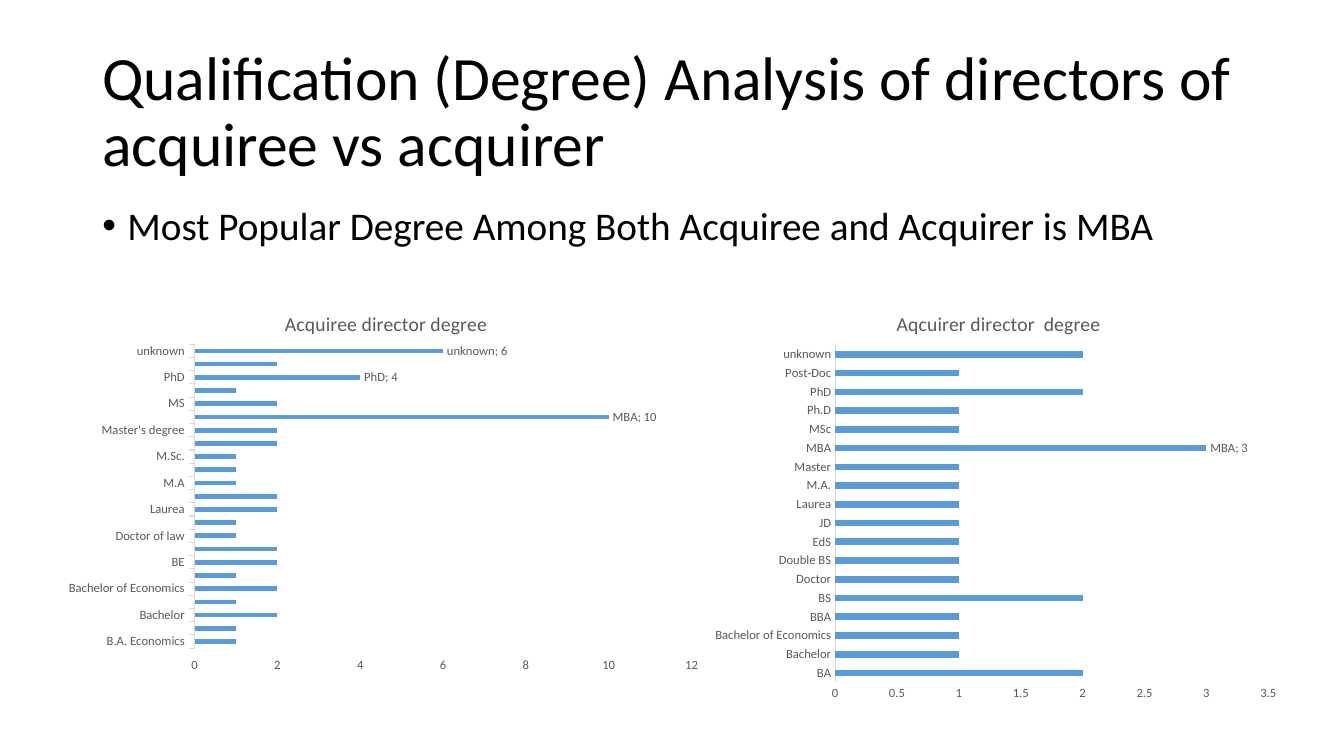
from dataclasses import dataclass

from lxml import etree
from pptx import Presentation
from pptx import util as u
from pptx.chart import data as chart_data
from pptx.dml import color
from pptx.enum import chart as chart_enum
from pptx.enum import text
from pptx.oxml import ns

FONT = "Calibri"
BLACK, GREY, PALE, BLUE = "000000", "595959", "D9D9D9", "5B9BD5"


@dataclass(frozen=True)
class Area:
    left: float
    top: float
    width: float
    height: float

    def lengths(self) -> list[u.Length]:
        return [u.Pt(value) for value in (self.left, self.top, self.width, self.height)]


@dataclass(frozen=True)
class DegreeChart:
    title: str
    frame: Area
    plot: Area
    title_left: float
    maximum: float
    step: float
    tick: chart_enum.XL_TICK_MARK
    counts: dict[str, int]
    labelled: tuple[str, ...]


ACQUIRER = DegreeChart(
    "Aqcuirer director  degree",
    Area(502.5, 206, 417.5, 300), Area(596.5, 246.5, 309.5, 241), 638,
    3.5, 0.5, chart_enum.XL_TICK_MARK.NONE,
    {"BA": 2, "Bachelor": 1, "Bachelor of Economics": 1, "BBA": 1, "BS": 2,
     "Doctor": 1, "Double BS": 1, "EdS": 1, "JD": 1, "Laurea": 1, "M.A.": 1,
     "Master": 1, "MBA": 3, "MSc": 1, "Ph.D": 1, "PhD": 2, "Post-Doc": 1,
     "unknown": 2},
    ("MBA",),
)
ACQUIREE = DegreeChart(
    "Acquiree director degree",
    Area(39.5, 206, 468, 280), Area(139, 246, 355, 217), 201,
    12, 2, chart_enum.XL_TICK_MARK.OUTSIDE,
    {"B.A. Economics": 1, "B.Tech": 1, "Bachelor": 2, "Bachelor Degree": 1,
     "Bachelor of Economics": 2, "BBA": 1, "BE": 2, "BS": 2, "Doctor of law": 1,
     "Juris Doctorate": 1, "Laurea": 2, "LLB": 2, "M.A": 1, "M.A.": 1,
     "M.Sc.": 1, "Master of Science (MSc)": 2, "Master's degree": 2, "MBA": 10,
     "MS": 2, "MSc": 1, "PhD": 4, "PhD.": 2, "unknown": 6},
    ("MBA", "PhD", "unknown"),
)


def rgb(value: str) -> color.RGBColor:
    return color.RGBColor.from_string(value)


def style_font(font, size: float, fill: str) -> None:
    font.name = FONT
    font.size = u.Pt(size)
    font.bold = False
    font.color.rgb = rgb(fill)


def add_text(page, area: Area, words: str, size: float):
    box = page.shapes.add_textbox(*area.lengths())
    box.text_frame.word_wrap = True
    para = box.text_frame.paragraphs[0]
    para.text = words
    para.line_spacing = 0.9
    style_font(para.font, size, BLACK)
    return box


def add_bullet(para, indent: float) -> None:
    properties = para._p.get_or_add_pPr()
    properties.set("marL", str(u.Pt(indent)))
    properties.set("indent", str(-u.Pt(indent)))
    font = etree.Element(ns.qn("a:buFont"), typeface="Arial")
    mark = etree.Element(ns.qn("a:buChar"), char="•")
    properties.insert_element_before(font, "a:tabLst", "a:defRPr", "a:extLst")
    properties.insert_element_before(mark, "a:tabLst", "a:defRPr", "a:extLst")


def set_layout(parent, index: int, settings: dict[str, str | float]) -> None:
    for old in parent.findall(ns.qn("c:layout")):
        parent.remove(old)
    layout = etree.Element(ns.qn("c:layout"))
    manual = etree.SubElement(layout, ns.qn("c:manualLayout"))
    for name, value in settings.items():
        etree.SubElement(manual, ns.qn(f"c:{name}"), val=str(value))
    parent.insert(index, layout)


def arrange(chart, degrees: DegreeChart) -> None:
    frame, plot = degrees.frame, degrees.plot
    edges = {"xMode": "edge", "yMode": "edge"}
    root = chart._chartSpace
    set_layout(root.xpath("c:chart/c:plotArea")[0], 0, {
        "layoutTarget": "inner", **edges,
        "x": (plot.left - frame.left) / frame.width,
        "y": (plot.top - frame.top) / frame.height,
        "w": plot.width / frame.width,
        "h": plot.height / frame.height,
    })
    set_layout(root.xpath("c:chart/c:title")[0], 1, {
        **edges,
        "x": (degrees.title_left - frame.left) / frame.width,
        "y": 13 / frame.height,
    })


def label_points(chart, degrees: DegreeChart) -> None:
    series = chart.plots[0].series[0]
    names = list(degrees.counts)
    for name in degrees.labelled:
        label = series.points[names.index(name)].data_label
        style_font(label.font, 9, GREY)
        label.position = chart_enum.XL_LABEL_POSITION.OUTSIDE_END
    series.data_labels.show_value = False
    for label in chart._chartSpace.xpath(".//c:dLbl"):
        label.find(ns.qn("c:showCatName")).set("val", "1")
        etree.SubElement(label, ns.qn("c:separator")).text = "; "


def add_degree_chart(page, degrees: DegreeChart) -> None:
    values = chart_data.CategoryChartData()
    values.categories = list(degrees.counts)
    values.add_series("Series 1", list(degrees.counts.values()))
    chart = page.shapes.add_chart(
        chart_enum.XL_CHART_TYPE.BAR_CLUSTERED, *degrees.frame.lengths(), values
    ).chart
    style_font(chart.font, 10, BLACK)
    chart.has_legend = False
    chart.has_title = True
    chart.chart_title.include_in_layout = False
    para = chart.chart_title.text_frame.paragraphs[0]
    para.text = degrees.title
    style_font(para.font, 14, GREY)

    plot = chart.plots[0]
    plot.gap_width = 182
    plot.vary_by_categories = False
    fill = plot.series[0].format.fill
    fill.solid()
    fill.fore_color.rgb = rgb(BLUE)

    for axis in (chart.category_axis, chart.value_axis):
        axis.has_major_gridlines = False
        axis.major_tick_mark = degrees.tick
        axis.minor_tick_mark = chart_enum.XL_TICK_MARK.NONE
        style_font(axis.tick_labels.font, 9, GREY)
    line = chart.category_axis.format.line
    line.color.rgb = rgb(PALE)
    line.width = u.Pt(0.75)
    chart.value_axis.format.line.fill.background()
    chart.value_axis.minimum_scale = 0
    chart.value_axis.maximum_scale = degrees.maximum
    chart.value_axis.major_unit = degrees.step

    label_points(chart, degrees)
    arrange(chart, degrees)


deck = Presentation()
deck.slide_width, deck.slide_height = u.Pt(960), u.Pt(540)
page = deck.slides.add_slide(deck.slide_layouts[6])

heading = add_text(
    page, Area(66, 28.75, 828, 104.4),
    "Qualification (Degree) Analysis of directors of acquiree vs acquirer", 44,
)
heading.text_frame.vertical_anchor = text.MSO_ANCHOR.MIDDLE

finding = add_text(
    page, Area(66, 143.75, 828, 342.6),
    "Most Popular Degree Among Both Acquiree and Acquirer is MBA", 28,
)
point = finding.text_frame.paragraphs[0]
point.space_before = u.Pt(10)
add_bullet(point, 18)

for degrees in (ACQUIRER, ACQUIREE):
    add_degree_chart(page, degrees)

deck.save("out.pptx")
